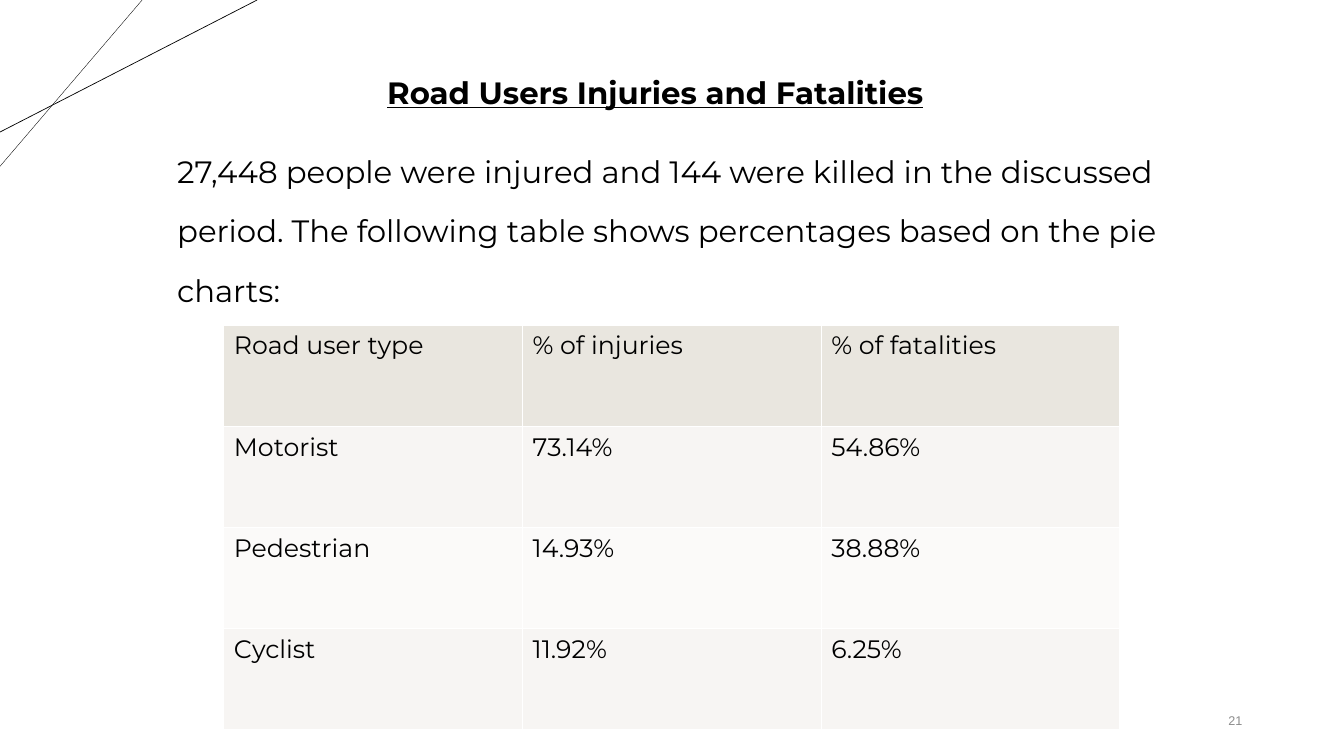
"""Build the slide on road users' injuries and fatalities."""
import pptx
import pptx.dml.color
import pptx.enum.shapes
import pptx.enum.text
import pptx.oxml
import pptx.util

Inches = pptx.util.Inches
Pt = pptx.util.Pt
Align = pptx.enum.text.PP_ALIGN
Anchor = pptx.enum.text.MSO_ANCHOR


def paint(color, code):
    color.rgb = pptx.dml.color.RGBColor.from_string(code)


def write(para, text, size, face="Montserrat", code="000000", bold=False):
    run = para.add_run()
    run.text = text
    run.font.size = Pt(size)
    run.font.name = face
    run.font.bold = bold
    paint(run.font.color, code)
    return run


deck = pptx.Presentation()
deck.slide_width = Inches(13.33)
deck.slide_height = Inches(7.5)
slide = deck.slides.add_slide(deck.slide_layouts[6])
shapes = slide.shapes
paint_back = slide.background.fill
paint_back.solid()
paint(paint_back.fore_color, "FFFFFF")

for right, low, width in [(1.41, 1.65, 0.25), (2.55, 1.31, 0.5)]:
    line = shapes.add_connector(
        pptx.enum.shapes.MSO_CONNECTOR.STRAIGHT,
        Inches(right), Inches(0), Inches(0), Inches(low))
    line.line.width = Pt(width)
    paint(line.line.color, "000000")
    pptx.oxml.ns.qn("a:effectLst")
    line._element.spPr.append(pptx.oxml.xmlchemy.OxmlElement("a:effectLst"))

title = shapes.add_textbox(Inches(1.5), Inches(0.46), Inches(10), Inches(1.24))
title.text_frame.word_wrap = True
para = title.text_frame.paragraphs[0]
para.alignment = Align.CENTER
para.line_spacing = 1.6
run = write(para, "Road Users Injuries and Fatalities", 22, bold=True)
run.font.underline = True

body = shapes.add_textbox(Inches(1.66), Inches(1.25), Inches(10), Inches(5.78))
body.text_frame.word_wrap = True
para = body.text_frame.paragraphs[0]
para.line_spacing = 1.6
write(para, "27,448 people were injured and 144 were killed in the discussed "
      "period. The following table shows percentages based on the pie charts:", 22)

rows = [
    ("Road user type", "% of injuries", "% of fatalities"),
    ("Motorist", "73.14%", "54.86%"),
    ("Pedestrian", "14.93%", "38.88%"),
    ("Cyclist", "11.92%", "6.25%"),
]
fills = ["E9E6DF", "F7F5F3", "FBFAF9", "F7F5F3"]
table = shapes.add_table(len(rows), 3, Inches(2.22), Inches(3.23),
                         Inches(8.89), Inches(4.01)).table
for i, (row, code) in enumerate(zip(rows, fills)):
    for j, text in enumerate(row):
        cell = table.cell(i, j)
        cell.fill.solid()
        paint(cell.fill.fore_color, code)
        write(cell.text_frame.paragraphs[0], text, 18)

number = shapes.add_textbox(Inches(11.34), Inches(6.95), Inches(1.08), Inches(0.4))
number.text_frame.word_wrap = True
number.text_frame.vertical_anchor = Anchor.MIDDLE
para = number.text_frame.paragraphs[0]
para.alignment = Align.RIGHT
write(para, "21", 9, "Arial", "8C8C8C")

deck.save("out.pptx")
